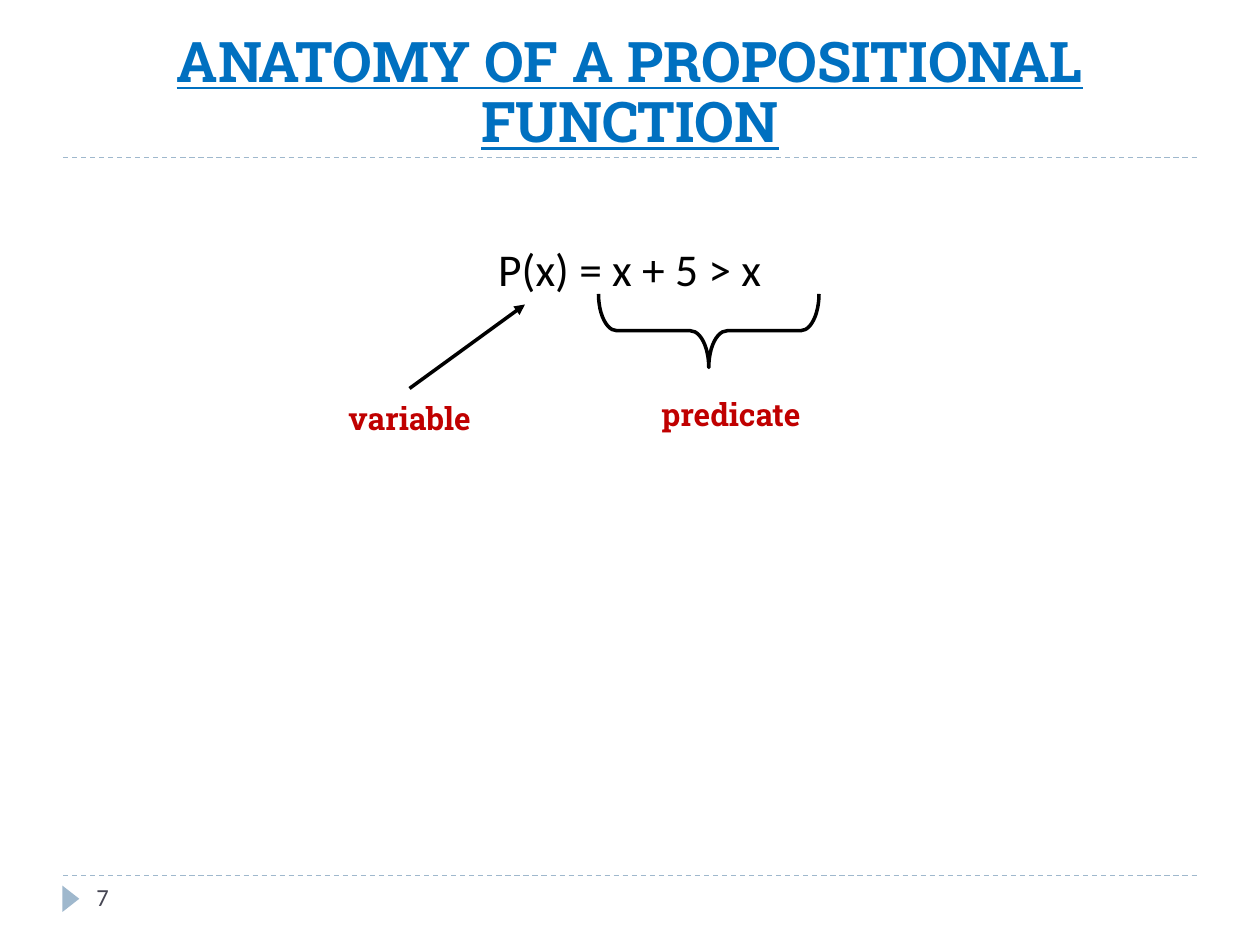
from dataclasses import dataclass

from lxml.etree import SubElement
from pptx import Presentation
from pptx.dml.color import RGBColor
from pptx.enum.dml import MSO_LINE
from pptx.enum.shapes import MSO_CONNECTOR, MSO_SHAPE
from pptx.enum.text import MSO_ANCHOR, PP_ALIGN
from pptx.oxml.ns import qn
from pptx.util import Inches, Pt


@dataclass(frozen=True)
class Theme:
    """Colours, fonts and sizes of the slide."""
    title: str = "0070C0"
    label: str = "C00000"
    ink: str = "000000"
    accent: str = "9FB8CD"
    number: str = "464653"
    slab: str = "Roboto Slab"
    sans: str = "Calibri"
    title_size: float = 32
    formula_size: float = 26
    label_size: float = 18
    number_size: float = 14
    rule_width: float = 0.75
    stroke_width: float = 2


@dataclass(frozen=True)
class Box:
    """A region in columns and rows of a 120 by 90 grid."""
    left: float
    top: float
    width: float
    height: float

    def inner(self, column, row, columns, rows):
        """Return a box placed relative to this one."""
        return Box(self.left + column, self.top + row, columns, rows)

    def lengths(self):
        """Return left, top, width and height as slide lengths."""
        return [Inches(cells / 12) for cells in (self.left, self.top, self.width, self.height)]


THEME = Theme()


def add_text(slide, box, text, font_name, size, color, bold=False, underline=False,
             align=PP_ALIGN.LEFT, wrap=True):
    """Add a one-run text box and return its frame."""
    frame = slide.shapes.add_textbox(*box.lengths()).text_frame
    frame.word_wrap = wrap
    paragraph = frame.paragraphs[0]
    paragraph.alignment = align
    run = paragraph.add_run()
    run.text = text
    font = run.font
    font.name, font.size, font.bold, font.underline = font_name, Pt(size), bold, underline
    font.color.rgb = RGBColor.from_string(color)
    return frame


def add_line(slide, start, end, color, width):
    """Add a straight line between two grid points."""
    ends = [Inches(cells / 12) for cells in (*start, *end)]
    line = slide.shapes.add_connector(MSO_CONNECTOR.STRAIGHT, *ends)
    line.line.color.rgb = RGBColor.from_string(color)
    line.line.width = Pt(width)
    SubElement(line._element.spPr, qn("a:effectLst"))
    return line


def add_rule(slide, box, row):
    """Add a dashed rule across a region."""
    level = box.top + row
    rule = add_line(slide, (box.left, level), (box.left + box.width, level),
                    THEME.accent, THEME.rule_width)
    rule.line.dash_style = MSO_LINE.DASH


def add_header(slide, box):
    """Place the title and the rule below it."""
    add_rule(slide, box, box.height)
    frame = add_text(slide, box, "ANATOMY OF A PROPOSITIONAL FUNCTION", THEME.slab,
                     THEME.title_size, THEME.title, bold=True, underline=True,
                     align=PP_ALIGN.CENTER)
    frame.vertical_anchor = MSO_ANCHOR.BOTTOM
    frame.margin_bottom = Inches(0.02)
    frame.paragraphs[0].line_spacing = 0.9


def add_anatomy(slide, box):
    """Place the formula with its labelled variable and predicate."""
    formula = add_text(slide, box, "P(x) = x + 5 > x", THEME.sans, THEME.formula_size,
                       THEME.ink, align=PP_ALIGN.CENTER)
    formula.margin_top = Inches(0.58)

    brace = slide.shapes.add_shape(MSO_SHAPE.LEFT_BRACE, *box.inner(58, 5, 7, 21).lengths())
    brace.rotation = 270
    brace.adjustments[0] = 0.25
    brace.shadow.inherit = False
    brace.fill.background()
    brace.line.color.rgb = RGBColor.from_string(THEME.ink)
    brace.line.width = Pt(THEME.stroke_width)

    labels = {"variable": box.inner(26, 21.4, 14.9, 4.8),
              "predicate": box.inner(55.8, 21, 17.3, 4.8)}
    for label, place in labels.items():
        add_text(slide, place, label, THEME.slab, THEME.label_size, THEME.label,
                 bold=True, wrap=False)

    arrow = add_line(slide, (box.left + 33, box.top + 21), (box.left + 44, box.top + 13),
                     THEME.ink, THEME.stroke_width)
    SubElement(arrow.line._get_or_add_ln(), qn("a:tailEnd"), type="triangle")


def add_footer(slide, box):
    """Place the lower rule, the marker and the page number."""
    add_rule(slide, box, 0)
    marker = slide.shapes.add_shape(MSO_SHAPE.ISOSCELES_TRIANGLE,
                                    *box.inner(-0.5, 1.4, 2.5, 1.6).lengths())
    marker.rotation = 90
    marker.shadow.inherit = False
    marker.fill.solid()
    marker.fill.fore_color.rgb = RGBColor.from_string(THEME.accent)
    marker.line.fill.background()
    add_text(slide, box.inner(2, 0, 26, 4.8), "7", THEME.sans, THEME.number_size, THEME.number)


def main():
    """Build and save the slide."""
    deck = Presentation()
    deck.slide_width, deck.slide_height = Inches(10), Inches(7.5)
    slide = deck.slides.add_slide(deck.slide_layouts[6])
    add_header(slide, Box(6, 2, 108, 13))
    add_anatomy(slide, Box(6, 16, 108, 64.8))
    add_footer(slide, Box(6, 83.4, 108, 6.6))
    deck.save("out.pptx")


if __name__ == "__main__":
    main()
